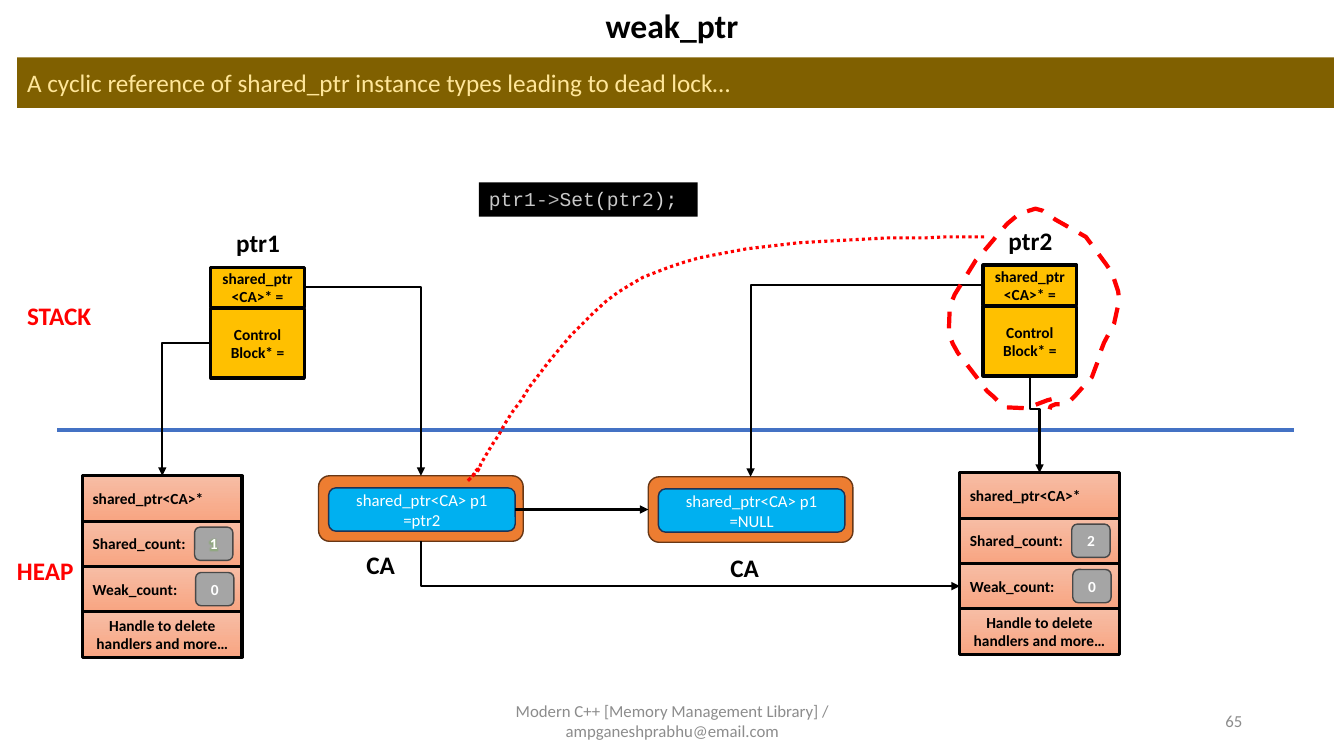
from dataclasses import dataclass

from lxml.etree import SubElement
from pptx import Presentation
from pptx.dml.color import RGBColor
from pptx.enum.dml import MSO_LINE
from pptx.enum.shapes import MSO_CONNECTOR, MSO_SHAPE
from pptx.enum.text import MSO_ANCHOR, PP_ALIGN
from pptx.oxml.ns import qn
from pptx.util import Pt

PX = 9144
TOP, LEFT, BOTTOM, RIGHT = range(4)


@dataclass(frozen=True)
class Theme:
    font: str = "Calibri"
    code_font: str = "Courier New"
    black: str = "000000"
    white: str = "FFFFFF"
    red: str = "FF0000"
    banner: str = "806000"
    banner_text: str = "FFE699"
    divider: str = "4472C4"
    pointer: str = "FFC000"
    block_top: str = "F7BDA5"
    block_bottom: str = "F8A582"
    counter: str = "A5A5A5"
    counter_line: str = "484848"
    glow: str = "70AD47"
    instance: str = "ED7D31"
    instance_line: str = "683715"
    member: str = "00B0F0"
    member_line: str = "1E3256"
    code_name: str = "C8C8C8"
    code_arrow: str = "B4B4B4"
    code_bracket: str = "D4D4D4"
    footer: str = "8C8C8C"
    title_size: int = 24
    label_size: int = 18
    code_size: int = 14
    member_size: int = 12
    small_size: int = 11


THEME = Theme()


def rgb(color):
    return RGBColor.from_string(color)


def write(shape, runs, size, bold=False, align=PP_ALIGN.LEFT, anchor=MSO_ANCHOR.MIDDLE, font=THEME.font):
    frame = shape.text_frame
    frame.word_wrap = True
    frame.vertical_anchor = anchor
    paragraph = frame.paragraphs[0]
    paragraph.alignment = align
    for text, color in runs:
        run = paragraph.add_run()
        run.text = text
        run.font.name = font
        run.font.size = Pt(size)
        run.font.bold = bold
        run.font.color.rgb = rgb(color)


def add_text(slide, box, text, size, color, bold=True, align=PP_ALIGN.LEFT, anchor=MSO_ANCHOR.TOP):
    shape = slide.shapes.add_textbox(*(value * PX for value in box))
    write(shape, [(text, color)], size, bold, align, anchor)


def add_box(slide, box, fill, line=None, width=1.0, kind=MSO_SHAPE.RECTANGLE):
    shape = slide.shapes.add_shape(kind, *(value * PX for value in box))
    shape.shadow.inherit = False
    shape.fill.solid()
    shape.fill.fore_color.rgb = rgb(fill)
    if line:
        shape.line.color.rgb = rgb(line)
        shape.line.width = Pt(width)
    else:
        shape.line.fill.background()
    return shape


def style_connector(connector, color, width, arrow=True):
    connector.line.color.rgb = rgb(color)
    connector.line.width = Pt(width)
    if arrow:
        SubElement(connector.line._get_or_add_ln(), qn("a:tailEnd"), type="triangle")
    SubElement(connector.element.spPr, qn("a:effectLst"))


def link(slide, start, start_side, end, end_side, preset, vertical=False, bend=None):
    kind = MSO_CONNECTOR.STRAIGHT if preset == "straightConnector1" else MSO_CONNECTOR.ELBOW
    connector = slide.shapes.add_connector(kind, 0, 0, 0, 0)
    connector.begin_connect(start, start_side)
    connector.end_connect(end, end_side)
    properties = connector.element.spPr
    geometry = properties.find(qn("a:prstGeom"))
    geometry.set("prst", preset)
    if bend:
        SubElement(geometry.find(qn("a:avLst")), qn("a:gd"), name="adj1", fmla=f"val {bend}")
    if vertical:
        left, top, width, height = connector.left, connector.top, connector.width, connector.height
        connector.left = left + (width - height) // 2
        connector.top = top + (height - width) // 2
        connector.width, connector.height = height, width
        transform = properties.find(qn("a:xfrm"))
        transform.set("rot", "16200000")
        transform.set("flipH", "1")
    style_connector(connector, THEME.black, 1.5)


def draw_header(slide, left, top, width):
    add_text(slide, (left + 544, top, 211, 50), "weak_ptr", THEME.title_size, THEME.black, align=PP_ALIGN.CENTER)
    banner = add_box(slide, (left, top + 57, width, 50), THEME.banner)
    text = "A cyclic reference of shared_ptr instance types leading to dead lock…"
    write(banner, [(text, THEME.banner_text)], THEME.label_size)


def draw_memory_areas(slide, left, top, width):
    divider = slide.shapes.add_connector(
        MSO_CONNECTOR.STRAIGHT, (left + 50) * PX, top * PX, (left + width) * PX, top * PX)
    style_connector(divider, THEME.divider, 3, arrow=False)
    add_text(slide, (left + 10, top - 134, 90, 40), "STACK", THEME.label_size, THEME.red)
    add_text(slide, (left, top + 119, 90, 40), "HEAP", THEME.label_size, THEME.red)


def draw_pointer(slide, left, top, name):
    add_text(slide, (left + 12, top, 70, 40), name, THEME.label_size, THEME.black, align=PP_ALIGN.CENTER)
    cells = []
    for offset, height, text in ((44, 40, "shared_ptr<CA>* ="), (85, 69, "Control Block* =")):
        cell = add_box(slide, (left, top + offset, 93, height), THEME.pointer, THEME.black, 2.25)
        write(cell, [(text, THEME.black)], THEME.small_size, True, PP_ALIGN.CENTER)
        cells.append(cell)
    return cells


def draw_control_block(slide, left, top, shared_count, glowing=False):
    texts = ("shared_ptr<CA>*", "Shared_count:", "Weak_count:", "Handle to delete handlers and more…")
    rows = []
    for index, text in enumerate(texts):
        row = add_box(slide, (left, top + 45 * index, 158, 45), THEME.block_top, THEME.black, 2.25)
        row.fill.gradient()
        row.fill.gradient_angle = 270
        for stop, color in zip(row.fill.gradient_stops, (THEME.block_top, THEME.block_bottom)):
            stop.color.rgb = rgb(color)
        align = PP_ALIGN.CENTER if index == 3 else PP_ALIGN.LEFT
        write(row, [(text, THEME.black)], THEME.small_size, True, align)
        rows.append(row)
    for index, count in enumerate((shared_count, "0")):
        counter = add_box(slide, (left + 111 + index, top + 51 + 45 * index, 38, 33), THEME.counter,
                          THEME.counter_line, kind=MSO_SHAPE.ROUNDED_RECTANGLE)
        write(counter, [(count, THEME.white)], THEME.small_size, True, PP_ALIGN.CENTER)
        if glowing and index == 0:
            add_glow(counter.text_frame.paragraphs[0].runs[0])
    return rows


def add_glow(run):
    properties = run.font._element
    effects = SubElement(properties, qn("a:effectLst"))
    glow = SubElement(effects, qn("a:glow"), rad="63500")
    color = SubElement(glow, qn("a:srgbClr"), val=THEME.glow)
    SubElement(color, qn("a:alpha"), val="40000")
    properties.find(qn("a:solidFill")).addnext(effects)


def draw_instance(slide, left, top, text, label_left, label_top):
    outer = add_box(slide, (left, top, 203, 65), THEME.instance, THEME.instance_line,
                    kind=MSO_SHAPE.ROUNDED_RECTANGLE)
    member = add_box(slide, (left + 10, top + 12, 185, 43), THEME.member, THEME.member_line,
                     kind=MSO_SHAPE.ROUNDED_RECTANGLE)
    write(member, [(text, THEME.white)], THEME.member_size, align=PP_ALIGN.CENTER)
    add_text(slide, (left + label_left, top + label_top, 61, 40), "CA", THEME.label_size,
             THEME.black, align=PP_ALIGN.CENTER)
    return outer, member


def draw_code(slide, left, top):
    strip = add_box(slide, (left, top, 217, 34), THEME.black)
    runs = [("ptr1", THEME.code_name), ("->", THEME.code_arrow), ("Set", THEME.code_name),
            ("(", THEME.code_bracket), ("ptr2", THEME.code_name), (");", THEME.code_bracket)]
    write(strip, runs, THEME.code_size, anchor=MSO_ANCHOR.TOP, font=THEME.code_font)


def draw_outline(slide, left, top, points, width, dash):
    builder = slide.shapes.build_freeform(*points[0], scale=PX)
    builder.add_line_segments(points[1:], close=False)
    shape = builder.convert_to_shape(left * PX, top * PX)
    shape.shadow.inherit = False
    shape.fill.background()
    shape.line.color.rgb = rgb(THEME.red)
    shape.line.width = Pt(width)
    shape.line.dash_style = dash


def draw_loop(slide, left, top):
    points = [(102, 189), (98, 190), (77, 198), (55, 197), (45, 187), (38, 181), (26, 165), (9, 143),
              (4, 134), (0, 124), (1, 97), (6, 85), (27, 51), (35, 42), (51, 23), (58, 15), (70, 5),
              (86, 0), (93, 2), (106, 11), (136, 28), (156, 55), (162, 64), (168, 82), (169, 91),
              (164, 114), (154, 133), (149, 146), (148, 151), (142, 167), (133, 177), (125, 186),
              (121, 190), (114, 194), (106, 194), (101, 196), (100, 199)]
    draw_outline(slide, left, top, points, 3, MSO_LINE.DASH)


def draw_cycle_curve(slide, left, top):
    points = [(512, 0)]
    curves = [((385, 1), (258, 2), (174, 40)), ((91, 79), (11, 229), (11, 229)),
              ((-15, 260), (13, 228), (12, 229)), ((12, 229), (11, 230), (10, 232))]
    steps = 20
    for controls in curves:
        anchors = (points[-1], *controls)
        for step in range(1, steps + 1):
            t = step / steps
            weights = ((1 - t) ** 3, 3 * t * (1 - t) ** 2, 3 * t * t * (1 - t), t ** 3)
            points.append(tuple(sum(w * p[axis] for w, p in zip(weights, anchors)) for axis in (0, 1)))
    draw_outline(slide, left, top, points, 2.25, MSO_LINE.ROUND_DOT)


def draw_footer(slide, left, top):
    parts = ((0, 450, "Modern C++ [Memory Management Library] / ampganeshprabhu@email.com", PP_ALIGN.CENTER),
             (500, 300, "65", PP_ALIGN.RIGHT))
    for offset, width, text, align in parts:
        add_text(slide, (left + offset, top, width, 40), text, THEME.member_size, THEME.footer,
                 False, align, MSO_ANCHOR.MIDDLE)


def main():
    presentation = Presentation()
    presentation.slide_width, presentation.slide_height = 1333 * PX, 750 * PX
    slide = presentation.slides.add_slide(presentation.slide_layouts[6])
    draw_header(slide, 17, 0, 1306)
    draw_memory_areas(slide, 7, 427, 1276)
    first_pointer, first_control = draw_pointer(slide, 209, 221, "ptr1")
    second_pointer, second_control = draw_pointer(slide, 975, 219, "ptr2")
    first_block = draw_control_block(slide, 82, 472, "1", glowing=True)
    second_block = draw_control_block(slide, 952, 469, "2")
    first_instance, first_member = draw_instance(slide, 316, 472, "shared_ptr<CA> p1 =ptr2", 31, 68)
    second_instance, _ = draw_instance(slide, 643, 473, "shared_ptr<CA> p1 =NULL", 65, 70)
    link(slide, first_pointer, RIGHT, first_instance, TOP, "bentConnector2")
    link(slide, first_control, LEFT, first_block[0], TOP, "bentConnector2")
    link(slide, second_pointer, LEFT, second_instance, TOP, "bentConnector2")
    link(slide, second_control, BOTTOM, second_block[0], TOP, "bentConnector3", True, 34600)
    link(slide, first_member, RIGHT, second_instance, LEFT, "straightConnector1")
    link(slide, first_instance, BOTTOM, second_block[2], LEFT, "bentConnector2", True)
    draw_code(slide, 475, 181)
    draw_loop(slide, 941, 207)
    draw_cycle_curve(slide, 464, 235)
    draw_footer(slide, 442, 695)
    presentation.save("out.pptx")


if __name__ == "__main__":
    main()
